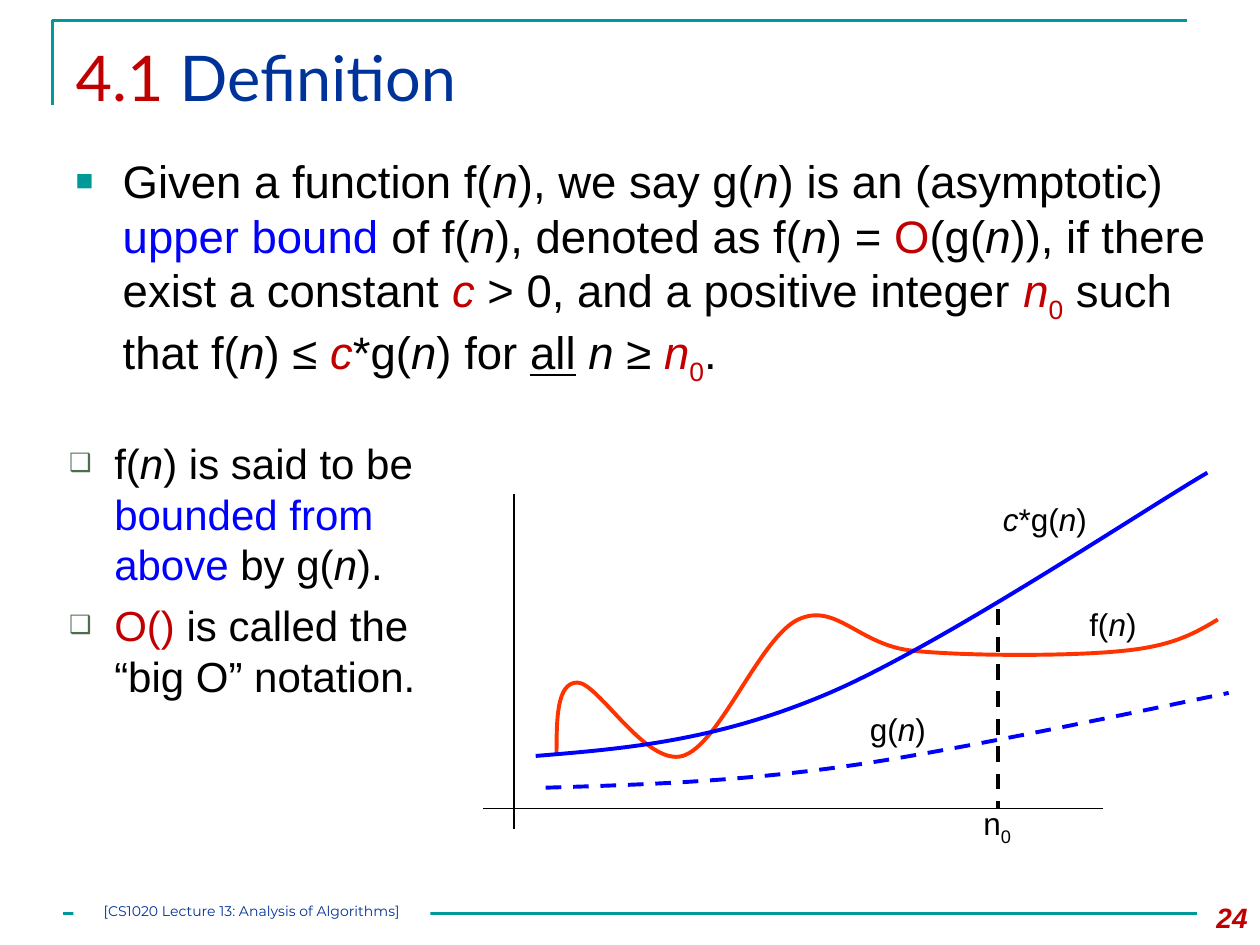
"""Build the slide that defines big O with a bounded-growth diagram."""
from lxml import etree
from pptx import Presentation
from pptx import util as u
from pptx.dml.color import RGBColor
from pptx.enum import dml, shapes, text
from pptx.oxml import ns

TEAL = RGBColor(0x00, 0x99, 0x99)
NAVY = RGBColor(0x00, 0x33, 0x99)
RED = RGBColor(0xC0, 0x00, 0x00)
BLUE = RGBColor(0x00, 0x00, 0xFF)
ORANGE = RGBColor(0xFF, 0x33, 0x00)
MOSS = RGBColor(0x4C, 0x6D, 0x4E)
BLACK = RGBColor(0x00, 0x00, 0x00)
WHITE = RGBColor(0xFF, 0xFF, 0xFF)

ITALIC = {"italic": True}
RED_ITALIC = {"color": RED, "italic": True}
N = ("n", ITALIC)
N_ZERO = [("n", RED_ITALIC), ("0", {"color": RED, "baseline": -25})]


def add_run(paragraph, words, size=18, font="Arial", color=BLACK, bold=False,
            italic=False, underline=False, baseline=0):
    run = paragraph.add_run()
    run.text = words
    run.font.size = u.Pt(size)
    run.font.name = font
    run.font.color.rgb = color
    run.font.bold = bold
    run.font.italic = italic
    run.font.underline = underline
    if baseline:
        run._r.get_or_add_rPr().set("baseline", str(baseline * 1000))


def add_runs(paragraph, pieces, **style):
    for piece in pieces:
        words, changes = (piece, {}) if isinstance(piece, str) else piece
        add_run(paragraph, words, **{**style, **changes})


def add_child(parent, tag, **attributes):
    child = etree.SubElement(parent, ns.qn(tag))
    for name, value in attributes.items():
        child.set(name, str(value))
    return child


def set_bullet(paragraph, mark, color, percent, margin, hanging):
    properties = paragraph._p.get_or_add_pPr()
    properties.set("marL", str(u.Cm(margin)))
    properties.set("indent", str(-u.Cm(hanging)))
    add_child(add_child(properties, "a:buClr"), "a:srgbClr", val=color)
    add_child(properties, "a:buSzPct", val=percent * 1000)
    add_child(properties, "a:buFont", typeface="Arial")
    add_child(properties, "a:buChar", char=mark)


class SlideBuilder:
    """Hold the slide and draw each kind of element in its style."""

    def __init__(self, slide):
        self.slide = slide
        self.shapes = slide.shapes

    def place(self, shape, left, top, width, height):
        shape.left, shape.top = u.Cm(left), u.Cm(top)
        shape.width, shape.height = u.Cm(width), u.Cm(height)
        frame = shape.text_frame
        frame.word_wrap = True
        frame.auto_size = text.MSO_AUTO_SIZE.NONE
        frame.vertical_anchor = text.MSO_ANCHOR.TOP
        return frame

    def title(self, pieces, *box):
        paragraph = self.place(self.shapes.title, *box).paragraphs[0]
        paragraph.alignment = text.PP_ALIGN.LEFT
        add_runs(paragraph, pieces, size=36, font="Lato")

    def bullets(self, index, items, *box, size, **bullet):
        frame = self.place(self.slide.placeholders[index], *box)
        for number, pieces in enumerate(items):
            paragraph = frame.add_paragraph() if number else frame.paragraphs[0]
            paragraph.space_before = u.Pt(6)
            paragraph.line_spacing = 1.0
            set_bullet(paragraph, **bullet)
            add_runs(paragraph, pieces, size=size)

    def label(self, pieces, *box, align=text.PP_ALIGN.CENTER, **style):
        shape = self.shapes.add_textbox(0, 0, 0, 0)
        paragraph = self.place(shape, *box).paragraphs[0]
        paragraph.alignment = align
        add_runs(paragraph, pieces, **style)

    def footer(self, words, *box):
        shape = self.shapes.add_shape(shapes.MSO_SHAPE.RECTANGLE, 0, 0, 0, 0)
        shape.shadow.inherit = False
        shape.fill.solid()
        shape.fill.fore_color.rgb = WHITE
        shape.line.fill.background()
        frame = self.place(shape, *box)
        frame.margin_left = frame.margin_right = frame.margin_top = frame.margin_bottom = 0
        frame.paragraphs[0].alignment = text.PP_ALIGN.CENTER
        add_run(frame.paragraphs[0], words, size=8, font="Montserrat", color=NAVY)

    def stroke(self, shape, color, width, dashed):
        shape.line.color.rgb = color
        shape.line.width = u.Pt(width)
        if dashed:
            shape.line.dash_style = dml.MSO_LINE.DASH

    def line(self, x1, y1, x2, y2, color=BLACK, width=1, dashed=False):
        connector = self.shapes.add_connector(
            shapes.MSO_CONNECTOR.STRAIGHT, u.Cm(x1), u.Cm(y1), u.Cm(x2), u.Cm(y2))
        self.stroke(connector, color, width, dashed)
        add_child(connector._element.spPr, "a:effectLst")

    def outline(self, points, color, width=2.25, dashed=False):
        start, *rest = [(u.Cm(x), u.Cm(y)) for x, y in points]
        builder = self.shapes.build_freeform(*start)
        builder.add_line_segments(rest, close=False)
        shape = builder.convert_to_shape()
        shape.shadow.inherit = False
        shape.fill.background()
        self.stroke(shape, color, width, dashed)
        return shape

    def curve(self, points, color, dashed=False):
        """Draw Bezier segments: a start, then two controls and an end for each."""
        shape = self.outline(points, color, dashed=dashed)
        steps = list(shape._element.iter(ns.qn("a:lnTo")))
        for first in range(0, len(steps), 3):
            segment, *others = steps[first:first + 3]
            segment.tag = ns.qn("a:cubicBezTo")
            for step in others:
                segment.append(step[0])
                step.getparent().remove(step)


def main():
    presentation = Presentation()
    presentation.slide_width, presentation.slide_height = u.Cm(25.4), u.Cm(19.05)
    builder = SlideBuilder(presentation.slides.add_slide(presentation.slide_layouts[3]))

    builder.outline([(1.06, 2.12), (1.06, 0.42), (23.92, 0.42)], TEAL, width=1.5)
    builder.line(1.27, 18.42, 24.13, 18.42, TEAL, width=1.5)
    builder.title([("4.1 ", {"color": RED}), ("Definition", {"color": NAVY})],
                  1.27, 0.64, 22.86, 2.18)

    definition = [
        "Given a function f(", N, "), we say g(", N, ") is an (asymptotic) ",
        ("upper bound ", {"color": BLUE}), "of f(", N, "), denoted as f(", N, ") = ",
        ("O", {"color": RED}), "(g(", N, ")), if there exist a constant ",
        ("c ", RED_ITALIC), "> 0, and a positive integer ", *N_ZERO, " such that f(", N,
        ") ≤ ", ("c", RED_ITALIC), "*g(", N, ") for ", ("all", {"underline": True}), " ",
        N, " ≥ ", *N_ZERO, "."]
    builder.bullets(1, [definition], 1.27, 2.96, 23.5, 5.08, size=26,
                    mark="■", color=TEAL, percent=65, margin=0.95, hanging=0.95)
    remarks = [
        ["f(", N, ") is said to be ", ("bounded from above ", {"color": BLUE}),
         "by g(", N, ")."],
        [("O() ", {"color": RED}), "is called the “big O” notation."]]
    builder.bullets(2, remarks, 1.06, 8.7, 8.89, 7.2, size=24,
                    mark="❑", color=MOSS, percent=60, margin=0.99, hanging=0.91)

    builder.line(9.74, 16.3, 22.23, 16.3, width=0.75)
    builder.line(10.37, 9.95, 10.37, 16.72)
    builder.curve([
        (11.22, 15.24),
        (11.22, 14.5), (11.22, 13.76), (11.64, 13.76),
        (12.06, 13.76), (13.02, 15.45), (13.76, 15.24),
        (14.5, 15.03), (15.31, 12.86), (16.09, 12.49),
        (16.86, 12.13), (17.32, 13.02), (18.42, 13.12),
        (19.51, 13.23), (21.62, 13.23), (22.65, 13.12),
        (23.67, 13.02), (24.11, 12.75), (24.55, 12.49)], ORANGE)
    builder.curve([
        (10.8, 15.24),
        (12.62, 15.09), (14.45, 14.94), (16.72, 13.97),
        (18.98, 13), (23.07, 10.27), (24.34, 9.53)], BLUE)
    builder.line(20.11, 12.28, 20.11, 16.3, width=2.25, dashed=True)
    builder.curve([
        (11, 15.88),
        (12.87, 15.82), (14.73, 15.77), (17.03, 15.45),
        (19.32, 15.13), (23.47, 14.23), (24.77, 13.97)], BLUE, dashed=True)

    builder.label([("c", ITALIC), "*g(", N, ")"], 19.69, 9.95, 2.75, 1.02)
    builder.label(["f(", N, ")"], 21.59, 12.07, 1.69, 1.02)
    builder.label(["n", ("0", {"baseline": -25})], 19.26, 16.09, 1.69, 1.02)
    builder.label(["g(", N, ")"], 17.15, 14.18, 1.9, 1.02)

    builder.footer("[CS1020 Lecture 13: Analysis of Algorithms]", 1.48, 18.2, 7.2, 0.42)
    builder.label(["24"], 23.71, 18.03, 1.69, 1.02, align=text.PP_ALIGN.RIGHT,
                  size=16, color=RED, bold=True, italic=True)
    presentation.save("out.pptx")


if __name__ == "__main__":
    main()
